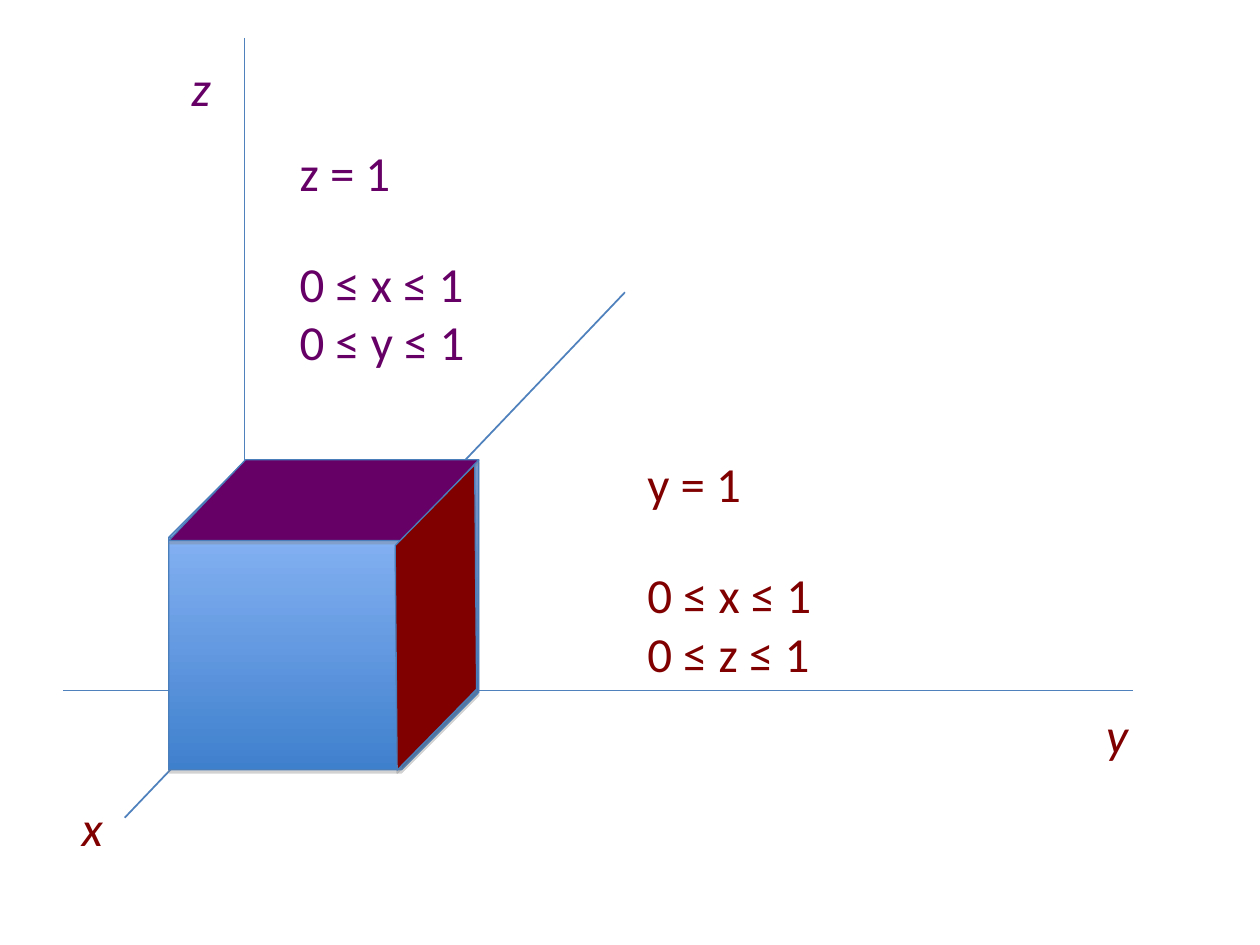
from lxml.etree import SubElement
from pptx import Presentation
from pptx.dml.color import RGBColor
from pptx.enum.shapes import MSO_CONNECTOR, MSO_SHAPE
from pptx.enum.text import MSO_AUTO_SIZE
from pptx.oxml.ns import qn
from pptx.util import Inches, Pt

COLORS = {
    "axis": "4F81BD",
    "edge": "4A7EBB",
    "front_light": "9BC1FF",
    "front_dark": "3F80CD",
    "top": "660066",
    "side": "800000",
    "shadow": "808080",
}


def color(name):
    return RGBColor.from_string(COLORS[name])


def add_solid(kind, left, top, width, height, adjustment):
    solid = page.shapes.add_shape(
        kind, Inches(left), Inches(top), Inches(width), Inches(height))
    solid.adjustments[0] = adjustment
    solid.line.color.rgb = color("edge")
    solid.line.width = Pt(0.75)
    solid.shadow.inherit = False
    effects = solid.element.spPr.find(qn("a:effectLst"))
    shadow = SubElement(effects, qn("a:outerShdw"), blurRad="0",
                        dist=str(Pt(1.8)), dir="5400000", rotWithShape="0")
    tint = SubElement(shadow, qn("a:srgbClr"), val=COLORS["shadow"])
    SubElement(tint, qn("a:alpha"), val="35000")
    return solid


deck = Presentation()
deck.slide_width = Inches(10)
deck.slide_height = Inches(7.5)
page = deck.slides.add_slide(deck.slide_layouts[6])

axes = [
    (1.94, 0.3, 1.94, 6.11),
    (0.5, 5.48, 8.99, 5.48),
    (0.99, 6.49, 4.96, 2.32),
]
for ends in axes:
    axis = page.shapes.add_connector(
        MSO_CONNECTOR.STRAIGHT, *[Inches(value) for value in ends])
    axis.line.color.rgb = color("axis")
    axis.line.width = Pt(1)
    SubElement(axis.element.spPr, qn("a:effectLst"))

cube = add_solid(MSO_SHAPE.CUBE, 1.34, 3.65, 2.46, 2.46, 0.25)
cube.fill.gradient()
cube.fill.gradient_angle = 270
for stop, name, position in zip(
        cube.fill.gradient_stops, ("front_light", "front_dark"), (0, 1)):
    stop.color.rgb = color(name)
    stop.position = position

top_face = add_solid(MSO_SHAPE.PARALLELOGRAM, 1.34, 3.65, 2.46, 0.64, 0.95)
side_face = add_solid(MSO_SHAPE.PARALLELOGRAM, 2.38, 4.27, 2.16, 1.26, 1)
side_face.rotation = 314.5
for face, name in ((top_face, "top"), (side_face, "side")):
    face.fill.solid()
    face.fill.fore_color.rgb = color(name)

labels = [
    (2.28, 1.08, 0.92, 0.57, "top", False, ["z = 1"]),
    (2.28, 1.96, 1.51, 1.04, "top", False, ["0 ≤ x ≤ 1", "0 ≤ y ≤ 1"]),
    (5.04, 3.55, 0.94, 0.57, "side", False, ["y = 1"]),
    (5.04, 4.43, 1.5, 1.04, "side", False, ["0 ≤ x ≤ 1", "0 ≤ z ≤ 1"]),
    (1.42, 0.41, 0.35, 0.57, "top", True, ["z"]),
    (8.68, 5.54, 0.37, 0.57, "side", True, ["y"]),
    (0.55, 6.28, 0.37, 0.57, "side", True, ["x"]),
]
for left, top, width, height, name, italic, lines in labels:
    box = page.shapes.add_textbox(
        Inches(left), Inches(top), Inches(width), Inches(height))
    frame = box.text_frame
    frame.word_wrap = False
    frame.auto_size = MSO_AUTO_SIZE.SHAPE_TO_FIT_TEXT
    frame.text = "\n".join(lines)
    for para in frame.paragraphs:
        para.font.name = "Calibri"
        para.font.size = Pt(28)
        para.font.italic = italic
        para.font.color.rgb = color(name)

deck.save("out.pptx")
